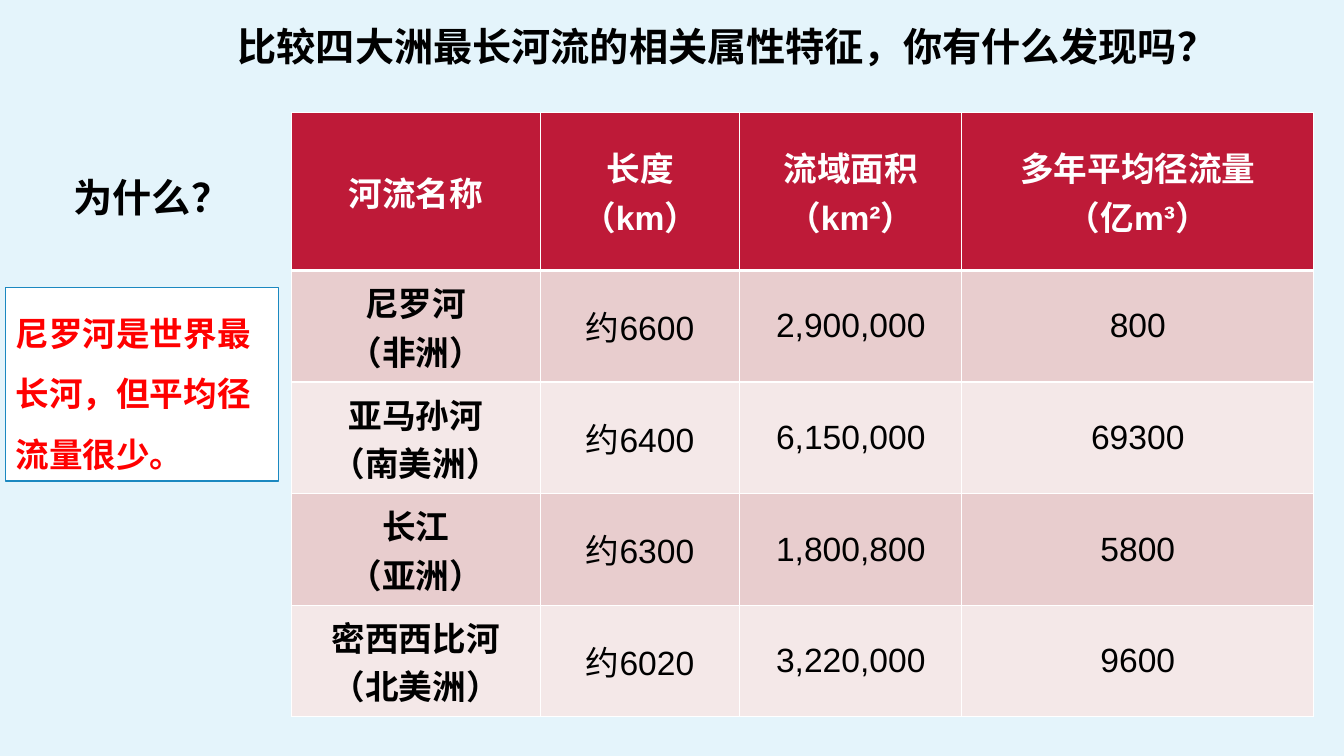
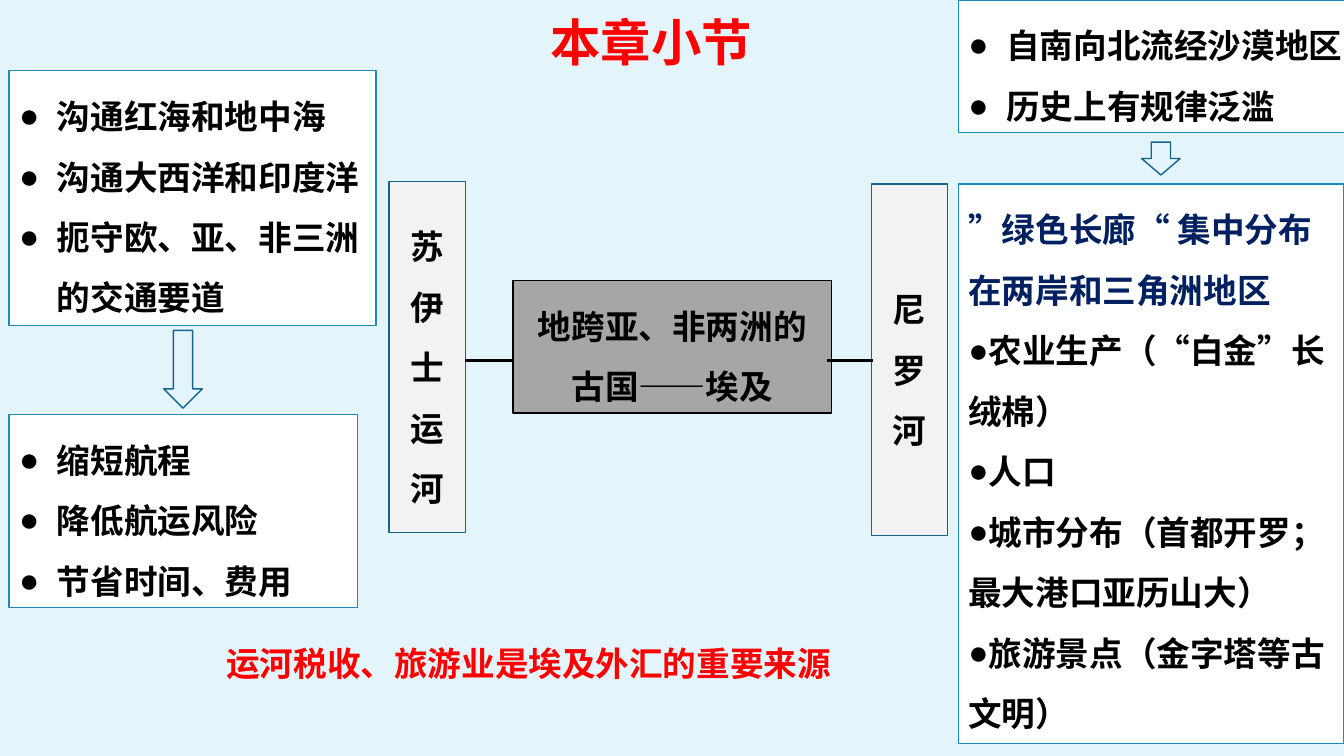
from lxml import etree
from pptx import Presentation
from pptx.dml.color import RGBColor
from pptx.enum.shapes import MSO_CONNECTOR, MSO_SHAPE
from pptx.enum.text import MSO_ANCHOR, MSO_AUTO_SIZE, PP_ALIGN
from pptx.oxml.ns import qn
from pptx.util import Pt

LEFT, CENTER = PP_ALIGN.LEFT, PP_ALIGN.CENTER
TOP, MIDDLE = MSO_ANCHOR.TOP, MSO_ANCHOR.MIDDLE
RECTANGLE, DOWN_ARROW = MSO_SHAPE.RECTANGLE, MSO_SHAPE.DOWN_ARROW
STRAIGHT, FIXED_SIZE = MSO_CONNECTOR.STRAIGHT, MSO_AUTO_SIZE.NONE

ARIAL, NOTO = "Arial", "Noto Sans CJK SC"
BLACK, WHITE, RED, NAVY = "000000", "FFFFFF", "FF0000", "002060"
SKY, BLUE, DARK_BLUE = "E4F4FB", "1B88C0", "14658E"
GRAY, LIGHT_GRAY = "A6A6A6", "F2F2F2"
CRIMSON, ROSE, PALE_ROSE = "BE1A38", "E8CDCE", "F4E8E8"
color = RGBColor.from_string


def write(holder, text, size=24, ink=BLACK, font=NOTO, bold=True, align=LEFT,
          spacing=1.0, anchor=TOP, wrap=True, indent=None, bullets_from=0):
    """Fill a shape or table cell; bullets appear only when indent is given."""
    frame = holder.text_frame
    frame.text = text
    frame.word_wrap = wrap
    frame.auto_size = FIXED_SIZE
    frame.vertical_anchor = anchor
    for number, paragraph in enumerate(frame.paragraphs):
        paragraph.alignment = align
        paragraph.line_spacing = spacing
        paragraph.space_before = Pt(0)
        if indent is not None:
            props = paragraph._p.get_or_add_pPr()
            props.set("marL", str(Pt(indent)))
            props.set("indent", str(-Pt(indent)))
            if number < bullets_from:
                etree.SubElement(props, qn("a:buNone"))
            else:
                etree.SubElement(props, qn("a:buFont"), typeface=ARIAL)
                etree.SubElement(props, qn("a:buChar"), char="●")
        for run in paragraph.runs:
            run.font.size = Pt(size)
            run.font.bold = bold
            run.font.color.rgb = color(ink)
            run.font.name = font
            etree.SubElement(run._r.get_or_add_rPr(), qn("a:ea"), typeface=NOTO)


def place(shape, area, fill=None, line=None):
    shape.left, shape.top, shape.width, shape.height = map(Pt, area)
    if fill:
        shape.shadow.inherit = False
        shape.fill.solid()
        shape.fill.fore_color.rgb = color(fill)
        shape.line.color.rgb = color(line)
        shape.line.width = Pt(1)
    return shape


prs = Presentation()
prs.slide_width, prs.slide_height = Pt(960), Pt(540)
background = prs.slide_master.background.fill
background.solid()
background.fore_color.rgb = color(SKY)

# Slide 1: river comparison
slide = prs.slides.add_slide(prs.slide_layouts[5])
shapes = slide.shapes
write(place(shapes.title, (162.5, 12, 716, 41)),
      "比较四大洲最长河流的相关属性特征，你有什么发现吗？", 28, wrap=False)

rivers = [
    ("河流名称", "长度\n（km）", "流域面积\n（km²）", "多年平均径流量\n（亿m³）"),
    ("尼罗河\n（非洲）", "约6600", "2,900,000", "800"),
    ("亚马孙河\n（南美洲）", "约6400", "6,150,000", "69300"),
    ("长江\n（亚洲）", "约6300", "1,800,800", "5800"),
    ("密西西比河\n（北美洲）", "约6020", "3,220,000", "9600"),
]
table = shapes.add_table(5, 4, Pt(208), Pt(80.5), Pt(730.5), Pt(431.5)).table
table.horz_banding = False
for column, width in zip(table.columns, (178, 142.5, 158.5, 251.5)):
    column.width = Pt(width)
for row, height in zip(table.rows, (112.7, 79.7, 79.7, 79.7, 79.7)):
    row.height = Pt(height)
for r, river in enumerate(rivers):
    for c, value in enumerate(river):
        cell = table.cell(r, c)
        cell.vertical_anchor = MIDDLE
        cell.fill.solid()
        cell.fill.fore_color.rgb = color(CRIMSON if r == 0 else ROSE if r % 2 else PALE_ROSE)
        write(cell, value, ink=WHITE if r == 0 else BLACK, font=ARIAL,
              bold=r == 0 or c == 0, align=CENTER, anchor=MIDDLE)
        if r == 0:
            header_rule = etree.Element(qn("a:lnB"), w=str(Pt(3)))
            rule_fill = etree.SubElement(header_rule, qn("a:solidFill"))
            etree.SubElement(rule_fill, qn("a:srgbClr"), val=WHITE)
            cell._tc.get_or_add_tcPr().insert(0, header_rule)

finding = place(shapes.add_shape(RECTANGLE, 0, 0, 0, 0), (4, 205.5, 195, 138), WHITE, BLUE)
write(finding, "尼罗河是世界最长河，但平均径流量很少。", ink=RED, spacing=1.5)
question = place(shapes.add_textbox(0, 0, 0, 0), (45.5, 120, 127, 41))
write(question, "为什么？", 28, wrap=False)

# Slide 2: chapter summary
slide = prs.slides.add_slide(prs.slide_layouts[4])
shapes = slide.shapes
write(place(shapes.title, (386, 4, 180, 51)), "本章小节", 36, RED, ARIAL)

lists = [
    ((6.5, 50.5, 262, 182), 27, 0,
     "沟通红海和地中海\n沟通大西洋和印度洋\n扼守欧、亚、非三洲的交通要道"),
    ((6.5, 296, 249, 138), 27, 0, "缩短航程\n降低航运风险\n节省时间、费用"),
    ((684.5, 0, 282, 94.5), 27, 0, "自南向北流经沙漠地区\n历史上有规律泛滥"),
    ((684.5, 131.5, 275.5, 399.5), 0, 1,
     "”绿色长廊“ 集中分布在两岸和三角洲地区\n农业生产（“白金”长绒棉）\n人口\n"
     "城市分布（首都开罗；最大港口亚历山大）\n旅游景点（金字塔等古文明）"),
]
for idx, (area, indent, bullets_from, items) in enumerate(lists, start=1):
    points = place(slide.placeholders[idx], area, WHITE, BLUE)
    write(points, items, spacing=1.5, indent=indent, bullets_from=bullets_from)
green_corridor = points.text_frame.paragraphs[0]
green_corridor.runs[0].font.color.rgb = color(NAVY)

topics = [
    ((366.5, 200.5, 227.5, 94.5), GRAY, BLACK, TOP, "地跨亚、非两洲的古国——埃及"),
    ((278, 129.5, 54.5, 251), LIGHT_GRAY, DARK_BLUE, MIDDLE, "苏伊士运河"),
    ((622.5, 131.5, 54.5, 251), LIGHT_GRAY, DARK_BLUE, MIDDLE, "尼罗河"),
]
for area, fill, line, anchor, label in topics:
    topic = place(shapes.add_shape(RECTANGLE, 0, 0, 0, 0), area, fill, line)
    write(topic, label, font=ARIAL, align=CENTER, spacing=1.5, anchor=anchor)

for start, end in ((332.5, 366.5), (590.5, 623.5)):
    link = shapes.add_connector(STRAIGHT, Pt(start), Pt(257.5), Pt(end), Pt(257.5))
    link.line.color.rgb = color(BLACK)
    link.line.width = Pt(2.25)
    etree.SubElement(link._element.spPr, qn("a:effectLst"))

for area in ((117, 236, 27.5, 55.5), (815.5, 101.5, 27.5, 23.5)):
    place(shapes.add_shape(DOWN_ARROW, 0, 0, 0, 0), area, SKY, DARK_BLUE)

conclusion = place(shapes.add_textbox(0, 0, 0, 0), (154.5, 456, 456, 36))
write(conclusion, "运河税收、旅游业是埃及外汇的重要来源", ink=RED)

prs.save("out.pptx")
